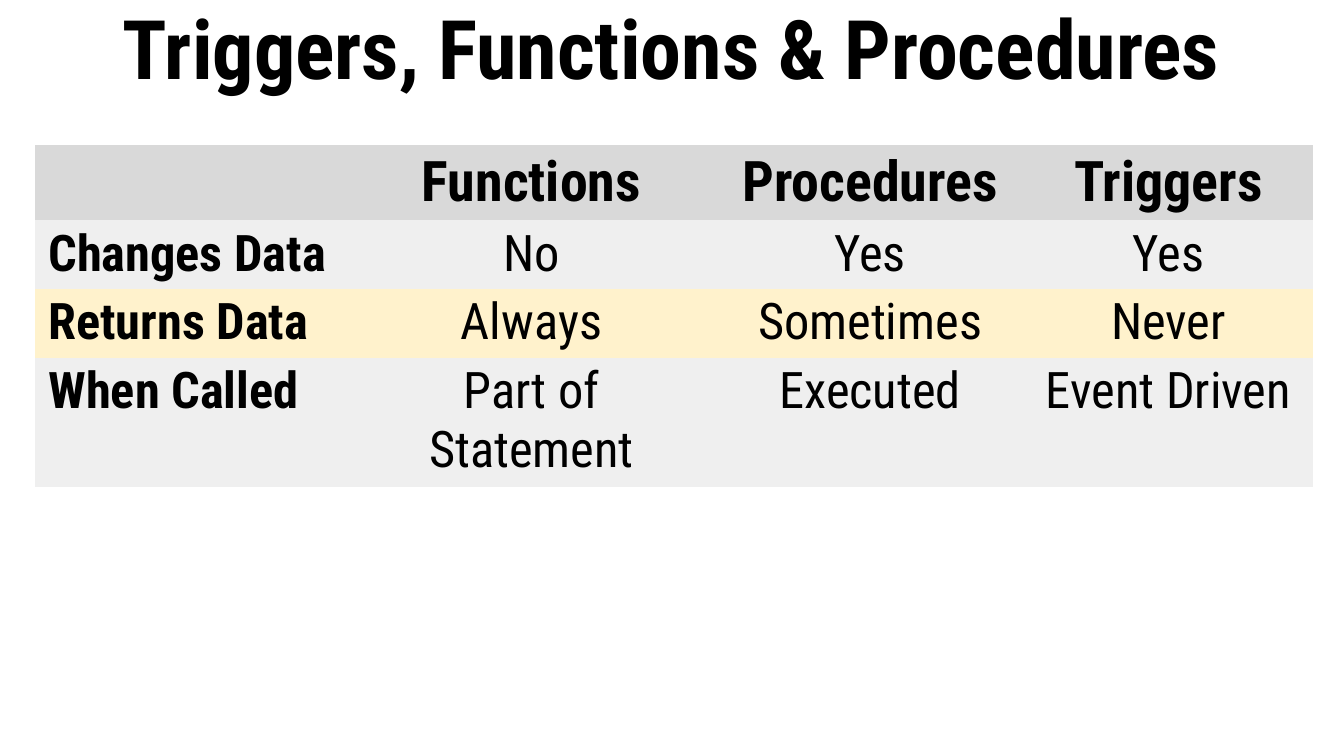
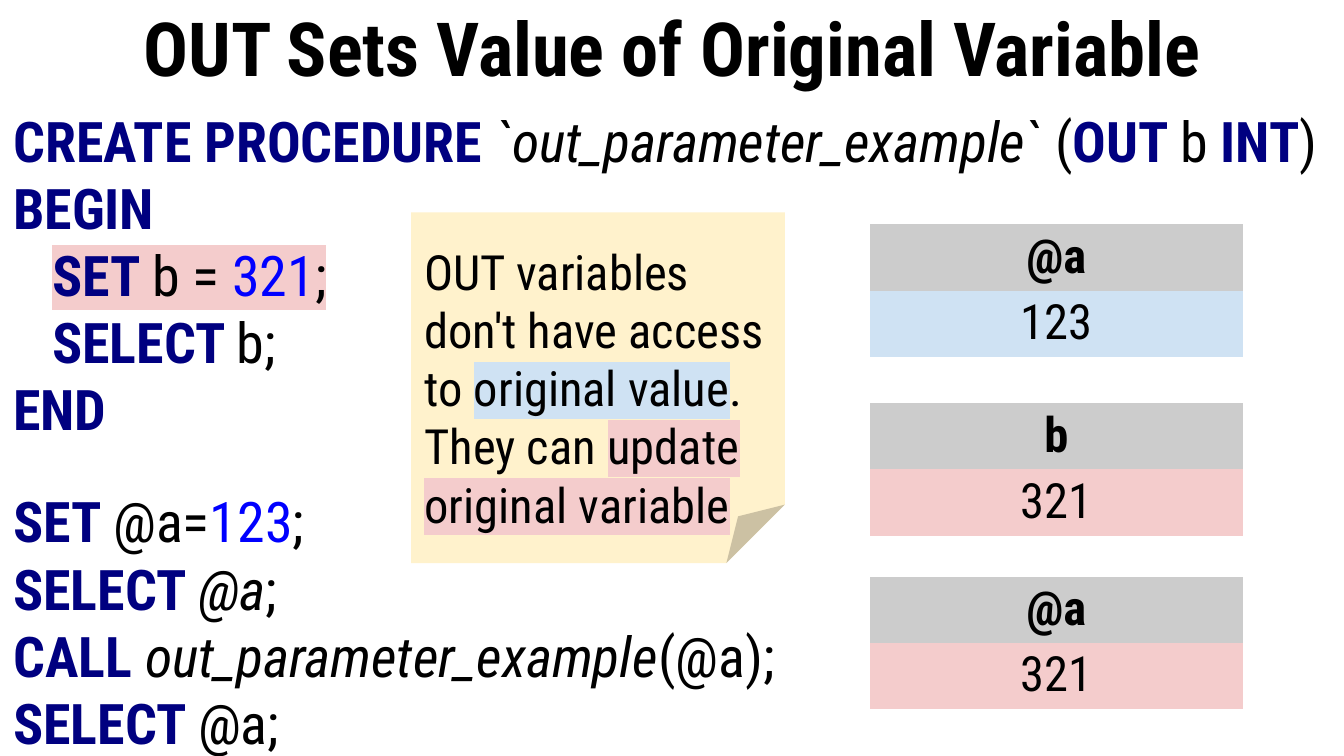
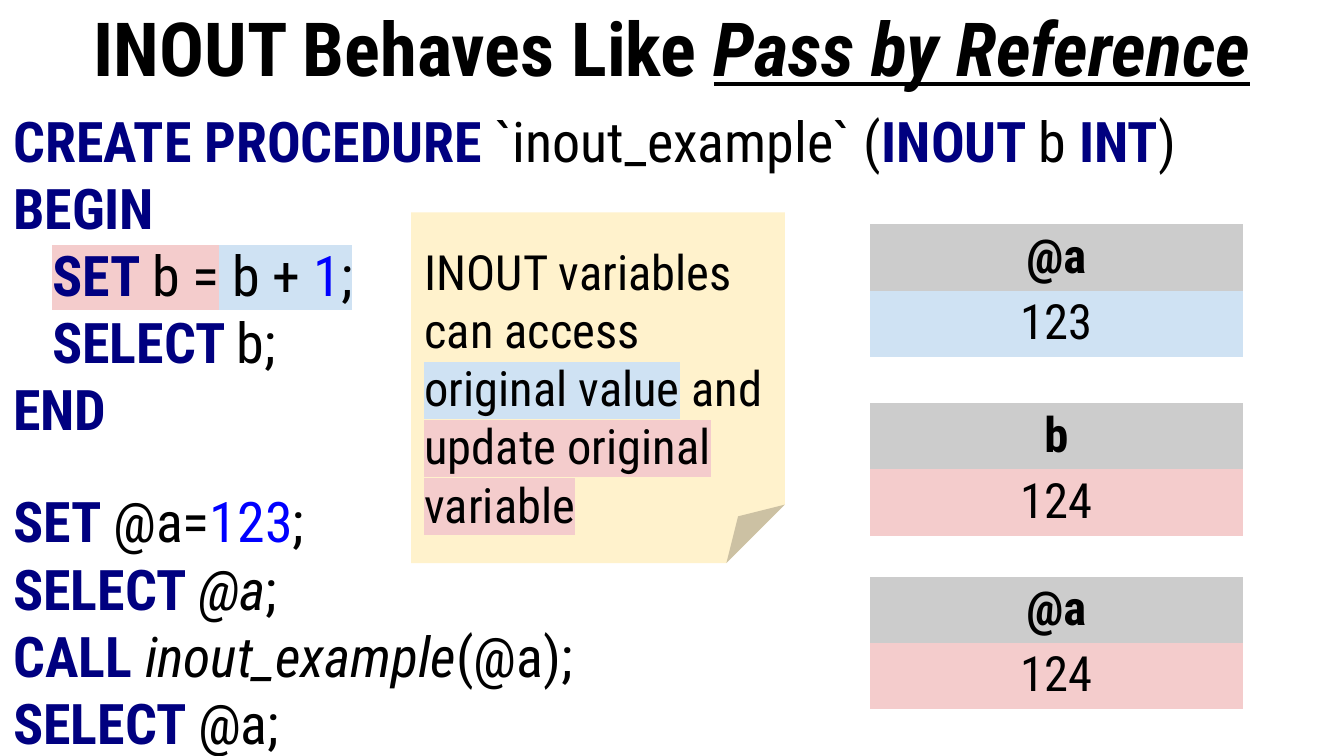
from lxml import etree
from pptx import Presentation
from pptx.dml.color import RGBColor
from pptx.enum.shapes import MSO_SHAPE
from pptx.enum.text import MSO_ANCHOR, PP_ALIGN
from pptx.oxml.ns import qn
from pptx.util import Inches, Pt

FONT = "Roboto Condensed"
BLACK = RGBColor(0x00, 0x00, 0x00)
NAVY = RGBColor(0x00, 0x00, 0x80)
BLUE = RGBColor(0x00, 0x00, 0xFF)
DARK_GRAY = RGBColor(0xCC, 0xCC, 0xCC)
MID_GRAY = RGBColor(0xD9, 0xD9, 0xD9)
LIGHT_GRAY = RGBColor(0xEF, 0xEF, 0xEF)
YELLOW = RGBColor(0xFF, 0xF2, 0xCC)
PALE_BLUE = RGBColor(0xCF, 0xE2, 0xF3)
PINK = RGBColor(0xF4, 0xCC, 0xCC)

# Text styles: colour, bold, italic, underline
PLAIN = (BLACK, False, False, False)
BOLD = (BLACK, True, False, False)
EMPHASIS = (BLACK, True, True, True)
KEYWORD = (NAVY, True, False, False)
NAME = (BLACK, False, True, False)
NUMBER = (BLUE, False, False, False)

NO_STYLE_NO_GRID = "{2D5ABB26-0587-4C30-8999-92F81FD0307C}"


def add_runs(p, size, runs):
    """Add (text, style[, highlight]) runs to a paragraph."""
    for text, style, *highlight in runs:
        r = p.add_run()
        r.text = text
        font = r.font
        font.size = Pt(size)
        font.color.rgb, font.bold, font.italic, font.underline = style
        if highlight:
            mark = etree.SubElement(r._r.get_or_add_rPr(), qn("a:highlight"))
            etree.SubElement(mark, qn("a:srgbClr"), val=str(highlight[0]))
        font.name = FONT


def add_grid(s, left, top, widths, rows, fills, sizes):
    """Add a table with a bold first row and, if it has several columns, a bold first column."""
    frame = s.shapes.add_table(len(rows), len(widths), Inches(left), Inches(top),
                               Inches(sum(widths)), Inches(0.3 * len(rows)))
    table = frame.table
    table.first_row = table.horz_banding = False
    table._tbl.tblPr.find(qn("a:tableStyleId")).text = NO_STYLE_NO_GRID
    for column, width in zip(table.columns, widths):
        column.width = Inches(width)
    for i, row in enumerate(rows):
        table.rows[i].height = Inches(0.3)
        for j, text in enumerate(row):
            cell = table.cell(i, j)
            cell.fill.solid()
            cell.fill.fore_color.rgb = fills[i]
            cell.margin_top = cell.margin_bottom = Inches(0.03)
            is_label = j == 0 and len(widths) > 1
            p = cell.text_frame.paragraphs[0]
            p.alignment = PP_ALIGN.LEFT if is_label else PP_ALIGN.CENTER
            if text:
                add_runs(p, sizes[i], [(text, BOLD if i == 0 or is_label else PLAIN)])


prs = Presentation()
prs.slide_width, prs.slide_height = Inches(10), Inches(10) * 9 // 16

# Titles
titles = [
    (44, [("Triggers, Functions & Procedures", BOLD)]),
    (40, [("OUT Sets Value of Original Variable", BOLD)]),
    (40, [("INOUT Behaves Like ", BOLD), ("Pass by Reference", EMPHASIS)]),
]
for size, runs in titles:
    s = prs.slides.add_slide(prs.slide_layouts[6])
    tf = s.shapes.add_textbox(0, 0, Inches(10), Inches(0.69)).text_frame
    tf.word_wrap = True
    tf.vertical_anchor = MSO_ANCHOR.MIDDLE
    tf.paragraphs[0].alignment = PP_ALIGN.CENTER
    add_runs(tf.paragraphs[0], size, runs)

# Comparison table
comparison = [
    ["", "Functions", "Procedures", "Triggers"],
    ["Changes Data", "No", "Yes", "Yes"],
    ["Returns Data", "Always", "Sometimes", "Never"],
    ["When Called", "Part of Statement", "Executed", "Event Driven"],
]
add_grid(prs.slides[0], 0.26, 1.08, [2.32, 2.75, 2.29, 2.15], comparison,
         [MID_GRAY, LIGHT_GRAY, YELLOW, LIGHT_GRAY], [30, 27, 27, 27])

# Parameter examples: signature, assignment, procedure name, note, result
examples = [
    ([("`out_parameter_example` ", NAME), ("(", PLAIN), ("OUT ", KEYWORD)],
     [("b = ", PLAIN, PINK), ("321", NUMBER, PINK), (";", PLAIN, PINK)],
     "out_parameter_example",
     [("OUT variables don't have access to ", PLAIN),
      ("original value", PLAIN, PALE_BLUE),
      (". They can ", PLAIN),
      ("update original variable", PLAIN, PINK)],
     "321"),
    ([("`inout_example` (", PLAIN), ("INOUT ", KEYWORD)],
     [("b =", PLAIN, PINK), (" b + ", PLAIN, PALE_BLUE),
      ("1", NUMBER, PALE_BLUE), (";", PLAIN, PALE_BLUE)],
     "inout_example",
     [("INOUT variables can access ", PLAIN),
      ("original value", PLAIN, PALE_BLUE),
      (" and ", PLAIN),
      ("update original variable", PLAIN, PINK)],
     "124"),
]
INDENTED = (2, 3)
FIRST_CALL_LINE = 5

for s, (signature, assignment, procedure, note, result) in zip(list(prs.slides)[1:], examples):
    code = [
        [("CREATE PROCEDURE ", KEYWORD), *signature,
         ("b ", PLAIN), ("INT", KEYWORD), (")", PLAIN)],
        [("BEGIN", KEYWORD)],
        [("SET ", KEYWORD, PINK), *assignment],
        [("SELECT ", KEYWORD), ("b;", PLAIN)],
        [("END", KEYWORD)],
        [("SET ", KEYWORD), ("@a=", PLAIN), ("123", NUMBER), (";", PLAIN)],
        [("SELECT ", KEYWORD), ("@a", NAME), (";", PLAIN)],
        [("CALL ", KEYWORD), (procedure, NAME), ("(@a);", PLAIN)],
        [("SELECT ", KEYWORD), ("@a;", PLAIN)],
    ]
    tf = s.shapes.add_textbox(0, Inches(0.69), Inches(10), Inches(4.94)).text_frame
    tf.word_wrap = True
    tf.margin_top = tf.margin_bottom = Inches(0.1)
    for i, runs in enumerate(code):
        p = tf.paragraphs[0] if i == 0 else tf.add_paragraph()
        if i in INDENTED:
            p._p.get_or_add_pPr().set("marL", str(Inches(0.29)))
        if i == FIRST_CALL_LINE:
            p.space_before = Pt(24)
        add_runs(p, 30, runs)

    variables = [(1.67, "@a", "123", PALE_BLUE), (3, "b", result, PINK), (4.29, "@a", result, PINK)]
    for top, variable, value, fill in variables:
        add_grid(s, 6.47, top, [2.78], [[variable], [value]], [DARK_GRAY, fill], [26, 26])

    sp = s.shapes.add_shape(MSO_SHAPE.FOLDED_CORNER, Inches(3.06), Inches(1.58),
                            Inches(2.78), Inches(2.61))
    sp.shadow.inherit = False
    sp.fill.solid()
    sp.fill.fore_color.rgb = YELLOW
    sp.line.fill.background()
    tf = sp.text_frame
    tf.word_wrap = True
    tf.vertical_anchor = MSO_ANCHOR.MIDDLE
    tf.margin_top, tf.margin_bottom = Inches(0.53), Inches(0.1)
    p = tf.paragraphs[0]
    p.alignment = PP_ALIGN.LEFT
    add_runs(p, 26, note)

prs.save("out.pptx")
